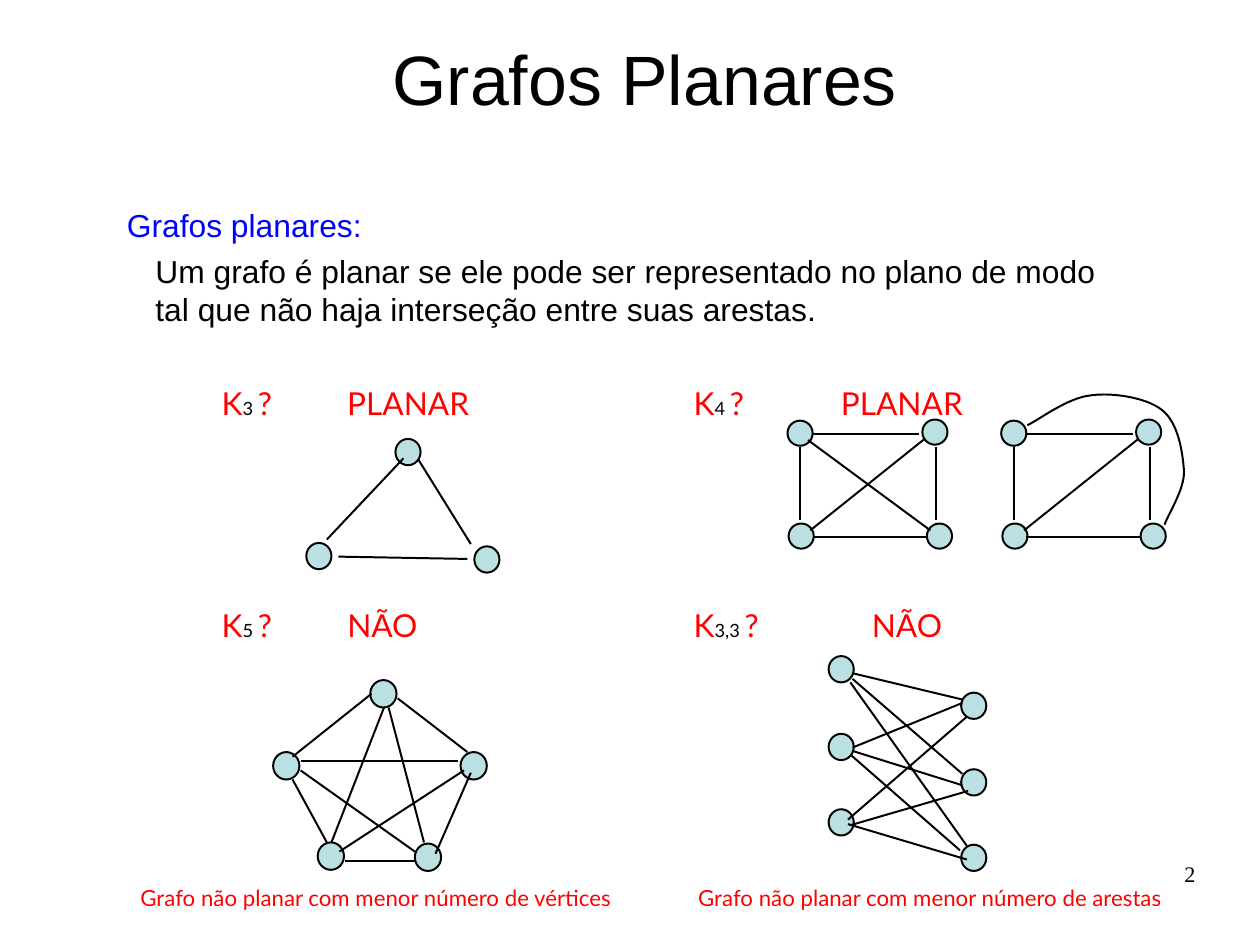
"""Builds the slide on planar graphs, with its four example graphs."""
from lxml import etree
from pptx import Presentation
from pptx.dml.color import RGBColor
from pptx.enum.shapes import MSO_CONNECTOR, MSO_SHAPE
from pptx.enum.text import MSO_ANCHOR, MSO_AUTO_SIZE, PP_ALIGN
from pptx.oxml.ns import qn
from pptx.util import Emu, Pt

PX = 9144
SLIDE_WIDTH, SLIDE_HEIGHT = Emu(10080625), Emu(7559675)
STRAIGHT, OVAL = MSO_CONNECTOR.STRAIGHT, MSO_SHAPE.OVAL
TOP, MIDDLE = MSO_ANCHOR.TOP, MSO_ANCHOR.MIDDLE
LEFT, CENTER, RIGHT = PP_ALIGN.LEFT, PP_ALIGN.CENTER, PP_ALIGN.RIGHT
FIXED = MSO_AUTO_SIZE.NONE

BLACK = RGBColor(0x00, 0x00, 0x00)
RED = RGBColor(0xFF, 0x00, 0x00)
BLUE = RGBColor(0x00, 0x00, 0xFF)
NODE = RGBColor(0xBB, 0xE0, 0xE3)

TITLE = {"name": "Arial", "size": Pt(44)}
BODY = {"name": "Arial", "size": Pt(20)}
LABEL = {"name": "Lato", "size": Pt(19.9)}
CAPTION = {"name": "Lato", "size": Pt(14)}
NUMBER = {"name": "Times New Roman", "size": Pt(14)}

K3_NODES = [(415, 478), (346, 384), (268, 475)]
K3_EDGES = [(353, 401, 286, 472), (296, 487, 409, 489), (366, 402, 412, 476)]

K4_NODES = [(690, 458), (811, 458), (689, 368), (807, 367)]
K4_EDGES = [
    (711, 470, 811, 470), (711, 380, 804, 380), (700, 391, 700, 455),
    (819, 391, 819, 455), (709, 464, 809, 384),
]
K4_DIAGONAL = (707, 385, 814, 464)
K4_SHIFT = 187
K4_ARC = [
    (899, 372), (908, 368), (934, 348), (954, 346),
    (973, 343), (1004, 348), (1017, 359),
    (1031, 370), (1035, 396), (1036, 413),
    (1036, 429), (1022, 450), (1019, 459),
]

K5_NODES = [(278, 737), (363, 738), (239, 658), (403, 658), (324, 595)]
K5_EDGES = [
    (256, 682, 286, 737), (381, 747, 412, 676), (302, 753, 363, 753),
    (263, 666, 401, 666), (256, 662, 325, 607), (348, 611, 409, 658),
    (340, 619, 371, 737), (336, 619, 290, 737), (263, 674, 363, 745),
    (406, 674, 297, 745),
]

K33_NODES = [(725, 708), (725, 642), (725, 574), (841, 739), (841, 673), (841, 606)]
K33_EDGES = [
    (746, 589, 842, 612), (746, 594, 842, 677), (744, 597, 846, 740),
    (746, 654, 842, 615), (746, 657, 842, 687), (745, 661, 840, 744),
    (846, 627, 742, 717), (847, 692, 744, 722), (846, 752, 742, 721),
]


class Slide:
    """Holds the line style and the current slide."""

    def __init__(self, prs):
        self.s = prs.slides.add_slide(prs.slide_layouts[1])
        self.line = {"width": Pt(1.25)}

    def set_all(self, target, values):
        for name, value in values.items():
            setattr(target, name, value)

    def outline(self, line):
        self.set_all(line, self.line)
        line.color.rgb = BLACK

    def place(self, sp, *box):
        names = ("left", "top", "width", "height")
        self.set_all(sp, {n: v * PX for n, v in zip(names, box)})

    def run(self, p, text, style, color):
        r = p.add_run()
        r.text = text
        self.set_all(r.font, style)
        r.font.color.rgb = color
        return r

    def title(self, text, *box):
        sp = self.s.shapes.title
        self.place(sp, *box)
        tf = sp.text_frame
        self.set_all(tf, {"vertical_anchor": MIDDLE, "auto_size": FIXED})
        p = tf.paragraphs[0]
        self.set_all(p, {"alignment": CENTER, "line_spacing": 0.93})
        self.run(p, text, TITLE, BLACK)

    def body(self, items, *box):
        sp = self.s.placeholders[1]
        self.place(sp, *box)
        tf = sp.text_frame
        self.set_all(tf, {"vertical_anchor": TOP, "auto_size": FIXED})
        for i, (text, color, indent) in enumerate(items):
            p = tf.add_paragraph() if i else tf.paragraphs[0]
            pPr = p._p.get_or_add_pPr()
            pPr.set("marL", str(indent * PX))
            pPr.set("indent", "0")
            etree.SubElement(pPr, qn("a:buNone"))
            self.set_all(p, {"alignment": LEFT, "space_before": Pt(5 if i else 0)})
            self.run(p, text, BODY, color)

    def text(self, text, style, color, *box, align=LEFT, inset=True):
        sp = self.s.shapes.add_textbox(*(v * PX for v in box))
        tf = sp.text_frame
        tf.word_wrap = True
        if not inset:
            sides = ("left", "top", "right", "bottom")
            self.set_all(tf, {f"margin_{side}": 0 for side in sides})
        p = tf.paragraphs[0]
        p.alignment = align
        self.run(p, text, style, color)
        return p

    def question(self, index, left, top):
        p = self.text("K", LABEL, RED, left, top, 92, 48)
        r = self.run(p, index + " ", LABEL, BLACK)
        r.font._element.set("baseline", "-1000")
        self.run(p, "?", LABEL, RED)

    def node(self, *box):
        sp = self.s.shapes.add_shape(OVAL, *(v * PX for v in box))
        sp.shadow.inherit = False
        sp.fill.solid()
        sp.fill.fore_color.rgb = NODE
        self.outline(sp.line)

    def edge(self, *ends):
        sp = self.s.shapes.add_connector(STRAIGHT, *(v * PX for v in ends))
        etree.SubElement(sp._element.spPr, qn("a:effectLst"))
        self.outline(sp.line)

    def graph(self, nodes, edges, width, height, shift=0):
        for x, y in nodes:
            self.node(x + shift, y, width, height)
        for x1, y1, x2, y2 in edges:
            self.edge(x1 + shift, y1, x2 + shift, y2)

    def curve(self, points, steps=16):
        dots = []
        for i in range(0, len(points) - 1, 3):
            for k in range(1, steps + 1):
                t = k / steps
                weights = ((1 - t) ** 3, 3 * t * (1 - t) ** 2, 3 * t * t * (1 - t), t ** 3)
                corners = zip(*points[i:i + 4])
                dots.append(tuple(
                    round(PX * sum(w * c for w, c in zip(weights, axis)))
                    for axis in corners))
        x, y = points[0]
        builder = self.s.shapes.build_freeform(x * PX, y * PX)
        builder.add_line_segments(dots, close=False)
        sp = builder.convert_to_shape()
        sp.shadow.inherit = False
        sp.fill.background()
        self.outline(sp.line)


def main():
    prs = Presentation()
    prs.slide_width, prs.slide_height = SLIDE_WIDTH, SLIDE_HEIGHT
    s = Slide(prs)
    s.title("Grafos Planares", 174, 26, 781, 92)
    s.body([
        ("Grafos planares:", BLUE, 0),
        ("Um grafo é planar se ele pode ser representado no plano de modo "
         "tal que não haja interseção entre suas arestas.", BLACK, 25),
    ], 101, 175, 891, 138)

    for index, answer, left, answer_left, top, width in [
        ("3", "PLANAR", 184, 294, 331, 147),
        ("4", "PLANAR", 597, 726, 331, 147),
        ("5", "NÃO", 184, 294, 525, 92),
        ("3,3", "NÃO", 597, 753, 525, 92),
    ]:
        s.question(index, left, top)
        s.text(answer, LABEL, RED, answer_left, top, width, 48)

    s.graph(K3_NODES, K3_EDGES, 22, 23)
    s.graph(K4_NODES, K4_EDGES + [K4_DIAGONAL], 22, 22)
    s.graph(K4_NODES, K4_EDGES, 22, 22, K4_SHIFT)
    s.curve(K4_ARC)
    s.graph(K5_NODES, K5_EDGES, 23, 24)
    s.graph(K33_NODES, K33_EDGES, 22, 23)

    for noun, left in [("vértices", 113), ("arestas", 601)]:
        caption = f"Grafo não planar com menor número de {noun}"
        s.text(caption, CAPTION, RED, left, 769, 454, 50)
    s.text("2", NUMBER, BLACK, 790, 753, 256, 57, align=RIGHT, inset=False)
    prs.save("out.pptx")


if __name__ == "__main__":
    main()
